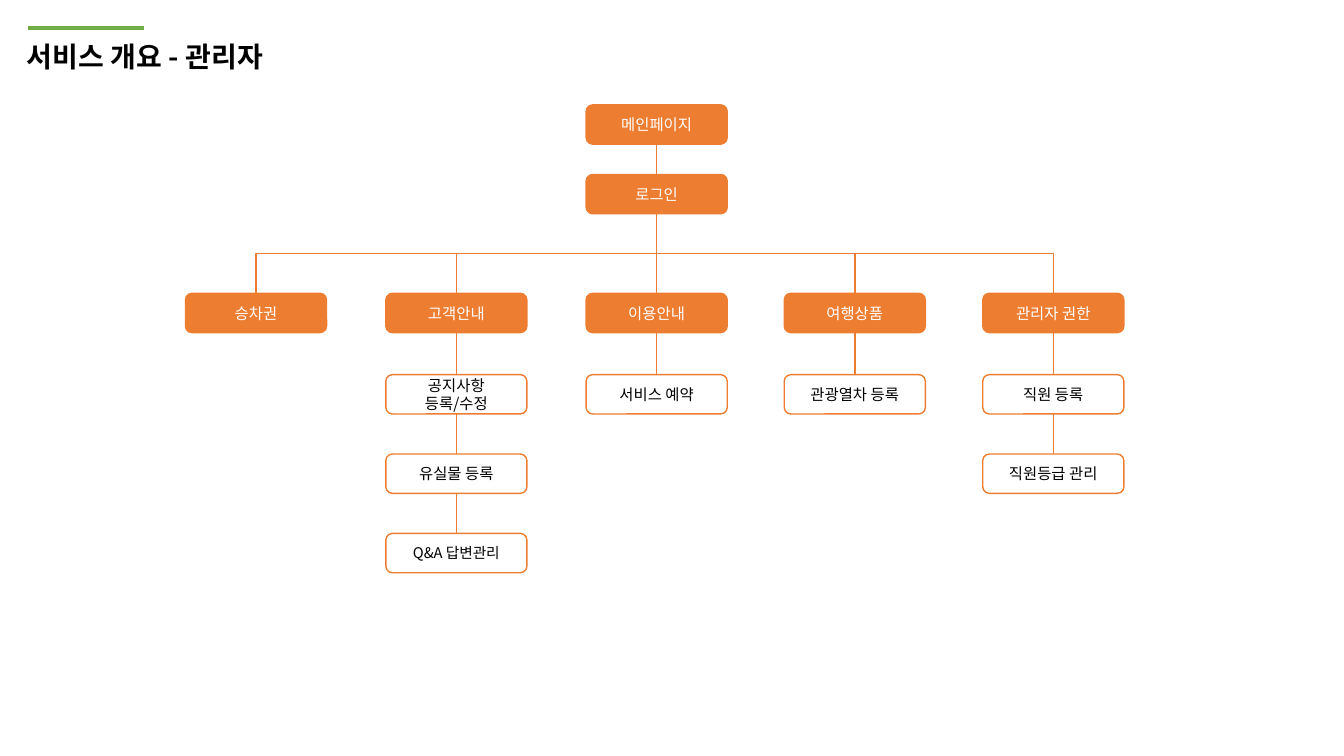
from dataclasses import dataclass

from pptx import Presentation
from pptx.dml.color import RGBColor
from pptx.enum.shapes import MSO_CONNECTOR, MSO_SHAPE
from pptx.enum.text import MSO_ANCHOR, PP_ALIGN
from pptx.oxml.ns import qn
from pptx.util import Pt

STRAIGHT, ELBOW = MSO_CONNECTOR.STRAIGHT, MSO_CONNECTOR.ELBOW
ROUNDED = MSO_SHAPE.ROUNDED_RECTANGLE
MIDDLE, CENTER = MSO_ANCHOR.MIDDLE, PP_ALIGN.CENTER

ORANGE = RGBColor(0xED, 0x7D, 0x31)
GREEN = RGBColor(0x70, 0xAD, 0x47)
BLACK = RGBColor(0, 0, 0)
WHITE = RGBColor(0xFF, 0xFF, 0xFF)
FONT = "Noto Sans CJK KR"

BOX_W, BOX_H = 100.8, 28.1
ROOT_LEFT, MAIN_TOP, LOGIN_TOP = 418.7, 74.9, 124.6
MENU_TOP, PAGE_TOP, PAGE_STEP = 209.5, 267.6, 56.7


@dataclass
class Page:
    text: str
    size: float = 11


@dataclass
class Menu:
    title: str
    left: float
    pages: tuple[Page, ...] = ()


MENUS = (
    Menu("승차권", 132.5),
    Menu("고객안내", 275.6, (Page("공지사항\n등록/수정"), Page("유실물 등록"),
                         Page("Q&A 답변관리", 10.5))),
    Menu("이용안내", ROOT_LEFT, (Page("서비스 예약"),)),
    Menu("여행상품", 560.2, (Page("관광열차 등록"),)),
    Menu("관리자 권한", 702, (Page("직원 등록"), Page("직원등급 관리"))),
)


def set_text(tf, text: str, size: float, color: RGBColor, bold: bool = False) -> None:
    tf.text = text
    tf.word_wrap = True
    for p in tf.paragraphs:
        for r in p.runs:
            r.font.name, r.font.size, r.font.bold = FONT, Pt(size), bold
            r.font.color.rgb = color
            ea = r.font._element.makeelement(qn("a:ea"), {"typeface": FONT})
            r.font._element.find(qn("a:latin")).addnext(ea)


def add_box(s, left: float, top: float, page: Page, filled: bool) -> None:
    sp = s.shapes.add_shape(ROUNDED, Pt(left), Pt(top), Pt(BOX_W), Pt(BOX_H))
    sp.shadow.inherit = False
    if filled:
        sp.fill.solid()
        sp.fill.fore_color.rgb = ORANGE
    else:
        sp.fill.background()
    sp.line.color.rgb = ORANGE
    sp.line.width = Pt(1)
    tf = sp.text_frame
    set_text(tf, page.text, page.size, WHITE if filled else BLACK)
    tf.vertical_anchor = MIDDLE
    for p in tf.paragraphs:
        p.alignment = CENTER


def add_line(s, x1: float, y1: float, x2: float, y2: float,
             color: RGBColor = ORANGE, width: float = 1, kind=STRAIGHT):
    line = s.shapes.add_connector(kind, Pt(x1), Pt(y1), Pt(x2), Pt(y2))
    line.line.color.rgb = color
    line.line.width = Pt(width)
    sp_pr = line._element.spPr
    sp_pr.append(sp_pr.makeelement(qn("a:effectLst"), {}))
    return line


def add_branch(s, x1: float, y1: float, x2: float, y2: float) -> None:
    """Elbow that leaves downwards, turned a quarter from its sideways default."""
    cx, cy = (x1 + x2) / 2, (y1 + y2) / 2
    half_w, half_h = (y2 - y1) / 2, abs(x2 - x1) / 2
    line = add_line(s, cx - half_w, cy - half_h, cx + half_w, cy + half_h, kind=ELBOW)
    xfrm = line._element.spPr.find(qn("a:xfrm"))
    if x2 < x1:
        xfrm.set("rot", "5400000")
    else:
        xfrm.set("rot", "16200000")
        xfrm.set("flipH", "1")


def add_menu(s, menu: Menu) -> None:
    root_x, x = ROOT_LEFT + BOX_W / 2, menu.left + BOX_W / 2
    login_bottom = LOGIN_TOP + BOX_H
    connect = add_line if x == root_x else add_branch
    connect(s, root_x, login_bottom, x, MENU_TOP)
    add_box(s, menu.left, MENU_TOP, Page(menu.title), True)
    above = MENU_TOP
    for i, page in enumerate(menu.pages):
        top = PAGE_TOP + i * PAGE_STEP
        add_line(s, x, above + BOX_H, x, top)
        add_box(s, menu.left, top, page, False)
        above = top


def add_title(s) -> None:
    add_line(s, 20.2, 20.2, 103, 20.2, GREEN, 3)
    tb = s.shapes.add_textbox(Pt(12.2), Pt(24.5), Pt(286.6), Pt(31.7))
    set_text(tb.text_frame, "서비스 개요 - 관리자", 20, BLACK, True)


def main() -> None:
    prs = Presentation()
    prs.slide_width, prs.slide_height = Pt(960), Pt(540)
    s = prs.slides.add_slide(prs.slide_layouts[6])
    add_title(s)
    root_x = ROOT_LEFT + BOX_W / 2
    add_line(s, root_x, MAIN_TOP + BOX_H, root_x, LOGIN_TOP)
    add_box(s, ROOT_LEFT, MAIN_TOP, Page("메인페이지"), True)
    add_box(s, ROOT_LEFT, LOGIN_TOP, Page("로그인"), True)
    for menu in MENUS:
        add_menu(s, menu)
    prs.save("out.pptx")


if __name__ == "__main__":
    main()
